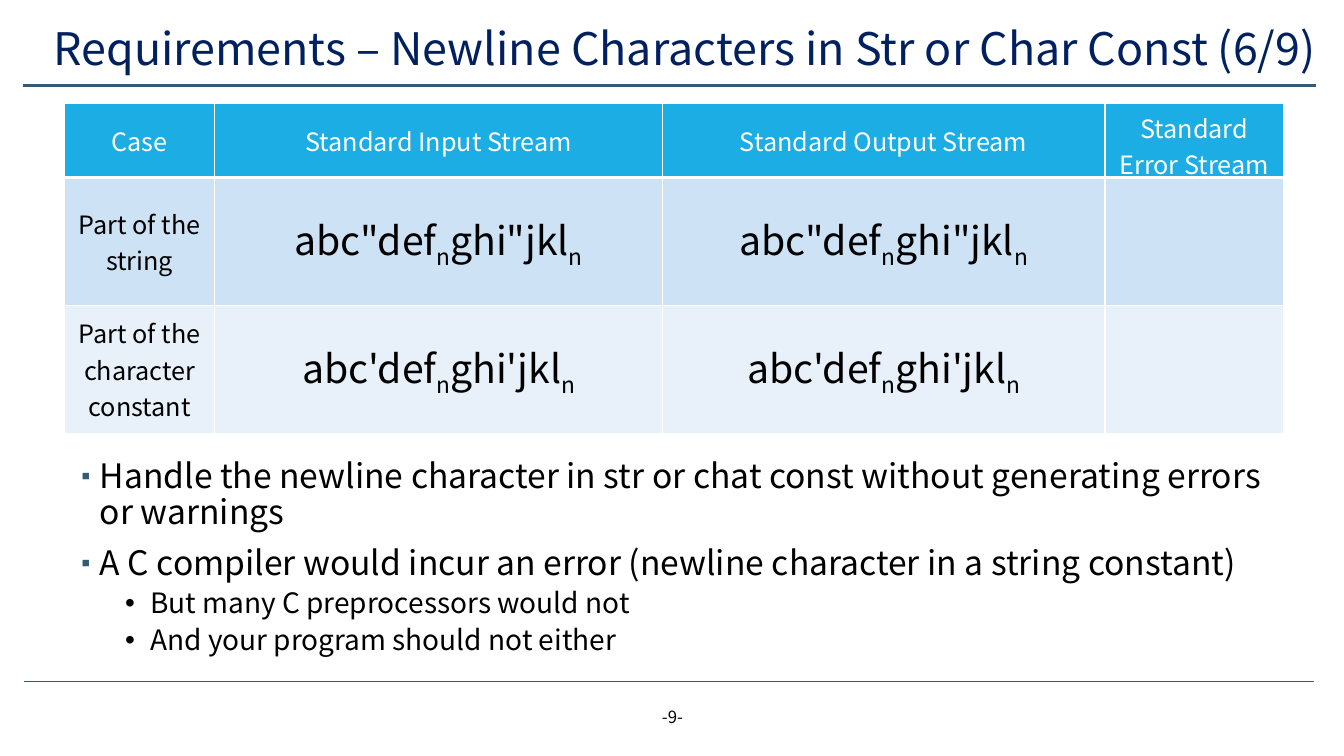
import pptx
import pptx.util
import pptx.dml.color
import pptx.enum.text
import pptx.enum.shapes
import pptx.oxml
import pptx.oxml.ns
import lxml.etree

Inches = pptx.util.Inches
Pt = pptx.util.Pt
RGBColor = pptx.dml.color.RGBColor
PP_ALIGN = pptx.enum.text.PP_ALIGN
MSO_ANCHOR = pptx.enum.text.MSO_ANCHOR
qn = pptx.oxml.ns.qn

FONT = "Noto Sans CJK KR"
NAVY = RGBColor(0x00, 0x20, 0x60)
SLATE = RGBColor(0x33, 0x5B, 0x74)
BLACK = RGBColor(0, 0, 0)
WHITE = RGBColor(0xFF, 0xFF, 0xFF)
HEADER_BLUE = RGBColor(0x1C, 0xAD, 0xE4)
BAND_DARK = RGBColor(0xCD, 0xE3, 0xF5)
BAND_LIGHT = RGBColor(0xE8, 0xF1, 0xFA)


def style_runs(paragraph, size, color):
    for run in paragraph.runs:
        run.font.name = FONT
        run.font.size = Pt(size)
        run.font.color.rgb = color


def border_cell(cell, bottom_width):
    properties = cell._tc.get_or_add_tcPr()
    widths = {"a:lnL": 1, "a:lnR": 1, "a:lnT": 1, "a:lnB": bottom_width}
    for position, (side, width) in enumerate(widths.items()):
        edge = lxml.etree.Element(qn(side), w=str(Pt(width)))
        fill = lxml.etree.SubElement(edge, qn("a:solidFill"))
        lxml.etree.SubElement(fill, qn("a:srgbClr"), val=str(WHITE))
        properties.insert(position, edge)


presentation = pptx.Presentation()
presentation.slide_width = Inches(13.33)
presentation.slide_height = Inches(7.5)
slide = presentation.slides.add_slide(presentation.slide_layouts[1])

for left, right, y, width in [(0.24, 13.03, 6.76, 0.5), (0.23, 13.05, 0.85, 1.75)]:
    rule = slide.shapes.add_connector(
        pptx.enum.shapes.MSO_CONNECTOR.STRAIGHT, Inches(left), Inches(y), Inches(right), Inches(y))
    rule.line.color.rgb = SLATE
    rule.line.width = Pt(width)
    lxml.etree.SubElement(rule._element.spPr, qn("a:effectLst"))

page_number = slide.shapes.add_textbox(Inches(5.17), Inches(6.91), Inches(3), Inches(0.4))
page_number.text_frame.word_wrap = True
page_number.text_frame.vertical_anchor = MSO_ANCHOR.MIDDLE
page_number.text_frame.text = "-9-"
page_number.text_frame.paragraphs[0].alignment = PP_ALIGN.CENTER
style_runs(page_number.text_frame.paragraphs[0], 12, BLACK)

title = slide.shapes.title
title.left, title.top, title.width, title.height = Inches(0.43), Inches(0.19), Inches(12.9), Inches(0.63)
title.text_frame.text = "Requirements – Newline Characters in Str or Char Const (6/9)"
title.text_frame.vertical_anchor = MSO_ANCHOR.MIDDLE
title.text_frame.paragraphs[0].alignment = PP_ALIGN.LEFT
title.text_frame.paragraphs[0].line_spacing = 0.9
style_runs(title.text_frame.paragraphs[0], 32, NAVY)

notes = slide.placeholders[1]
notes.left, notes.top, notes.width, notes.height = Inches(0.64), Inches(4.51), Inches(12.09), Inches(2.1)
notes.fill.solid()
notes.fill.fore_color.rgb = WHITE
notes.text_frame.auto_size = pptx.enum.text.MSO_AUTO_SIZE.TEXT_TO_FIT_SHAPE
points = [
    (0, "Handle the newline character in str or chat const without generating errors or warnings"),
    (0, "A C compiler would incur an error (newline character in a string constant)"),
    (1, "But many C preprocessors would not"),
    (1, "And your program should not either"),
]
notes.text_frame.text = "\n".join(text for level, text in points)
for paragraph, (level, text) in zip(notes.text_frame.paragraphs, points):
    paragraph.level = level
    paragraph.line_spacing = 0.9
    paragraph.space_before = Pt(5 if level else 10)
    style_runs(paragraph, 20 if level else 24, BLACK)
    properties = paragraph._p.get_or_add_pPr()
    properties.set("marL", str(Inches(0.75 if level else 0.25)))
    properties.set("indent", str(Inches(-0.25)))
    if not level:
        bullet_color = lxml.etree.SubElement(properties, qn("a:buClr"))
        lxml.etree.SubElement(bullet_color, qn("a:srgbClr"), val=str(SLATE))
        lxml.etree.SubElement(properties, qn("a:buSzPct"), val="70000")
    lxml.etree.SubElement(properties, qn("a:buFont"), typeface="Arial" if level else FONT)
    lxml.etree.SubElement(properties, qn("a:buChar"), char="•" if level else "▪")

string_stream = ["abc\"def", "n", "ghi\"jkl", "n"]
character_stream = ["abc'def", "n", "ghi'jkl", "n"]
cases = [
    (0.73, HEADER_BLUE, [["Case"], ["Standard Input Stream"], ["Standard Output Stream"], ["Standard Error Stream"]]),
    (1.27, BAND_DARK, [["Part of the string"], string_stream, string_stream, []]),
    (1.27, BAND_LIGHT, [["Part of the character constant"], character_stream, character_stream, []]),
]
streams = slide.shapes.add_table(3, 4, Inches(0.64), Inches(1.03), Inches(12.09), Inches(3.27)).table
for column, width in zip(streams.columns, [1.49, 4.44, 4.39, 1.77]):
    column.width = Inches(width)
for row, (height, color, entries) in zip(streams.rows, cases):
    row.height = Inches(height)
    is_header = color == HEADER_BLUE
    for cell, pieces in zip(row.cells, entries):
        cell.fill.solid()
        cell.fill.fore_color.rgb = color
        cell.vertical_anchor = MSO_ANCHOR.MIDDLE
        border_cell(cell, 3 if is_header else 1)
        paragraph = cell.text_frame.paragraphs[0]
        paragraph.alignment = PP_ALIGN.CENTER
        for piece in pieces:
            run = paragraph.add_run()
            run.text = piece
            run.font.bold = False
            if piece == "n":
                run.font._element.set("baseline", "-25000")
        style_runs(paragraph, 28 if len(pieces) > 1 else 18, WHITE if is_header else BLACK)

presentation.save("out.pptx")
